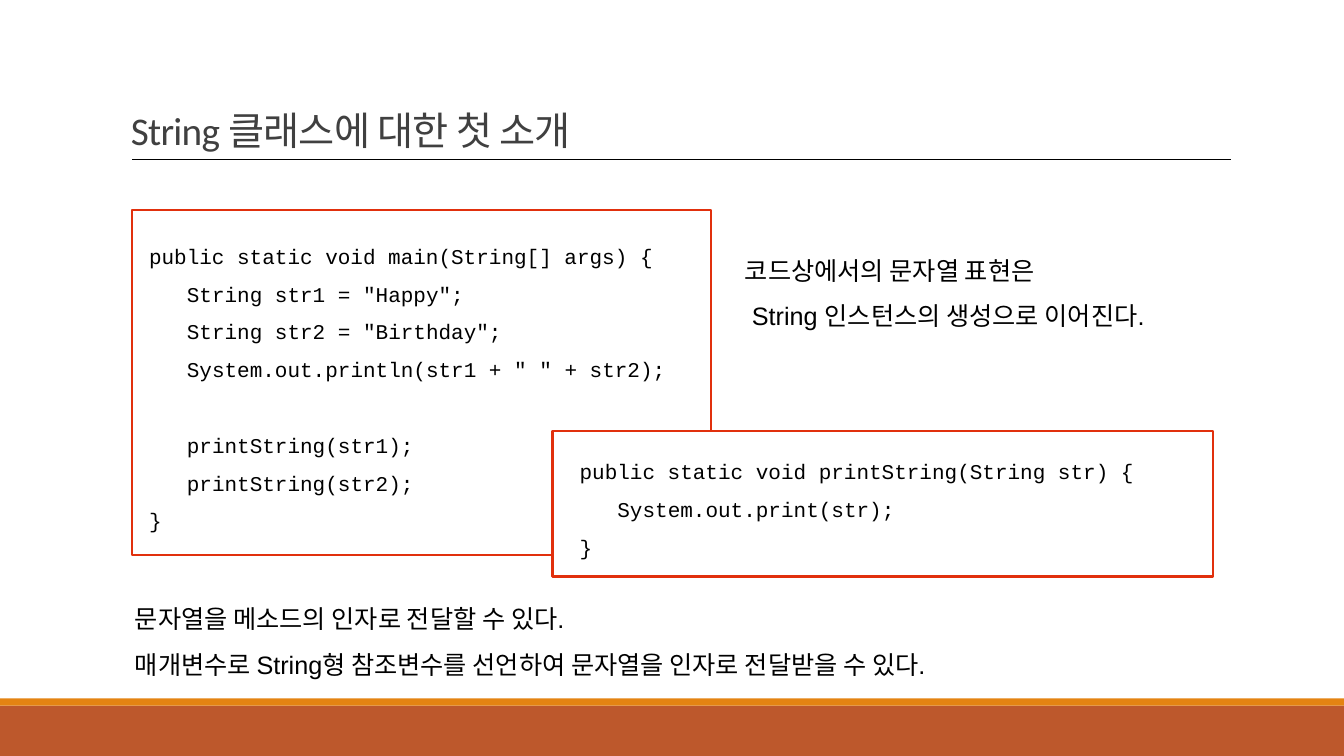
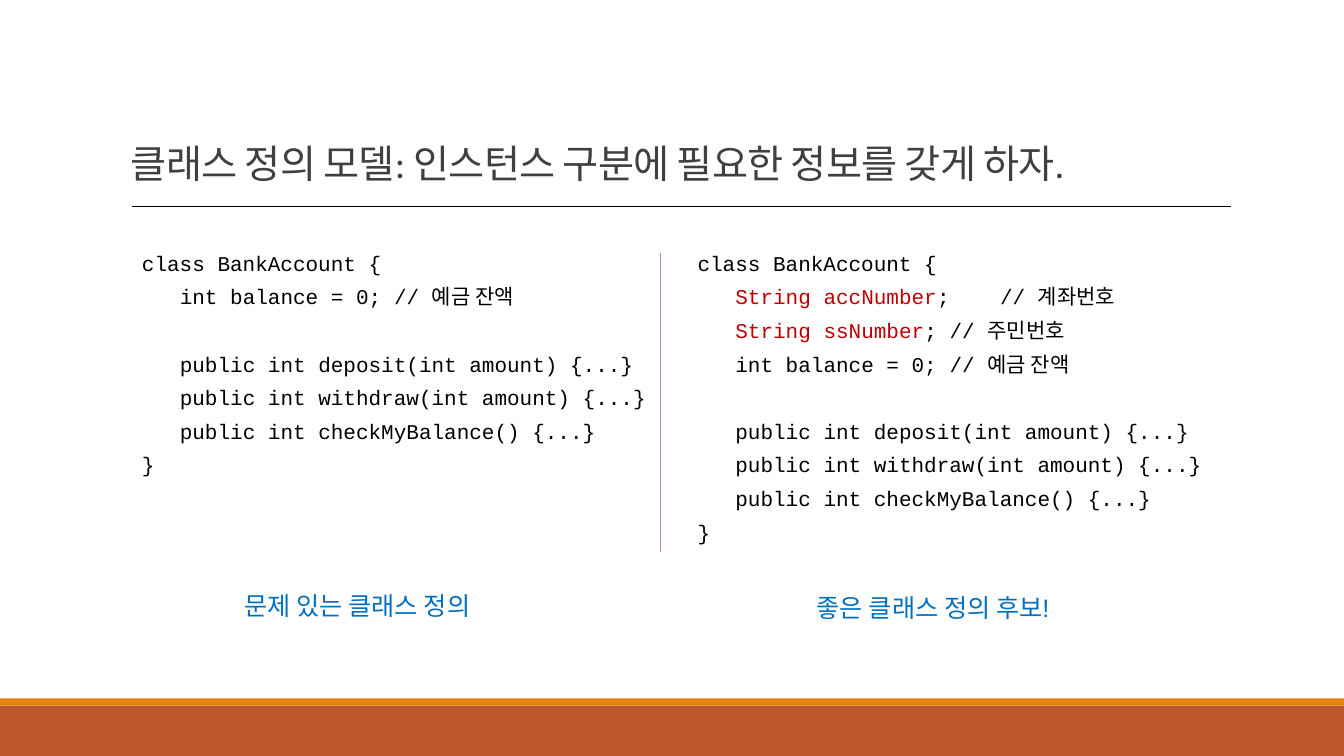
from lxml import etree
from pptx import Presentation, util as u
from pptx.dml.color import RGBColor
from pptx.enum import shapes, text
from pptx.oxml.ns import qn

# Content: a code line is (indent level, pieces, comment column, comment); GAP is an empty row
GAP = None
MAIN_CODE = [
    (0, ["public static void main(String[] args) {"]),
    (1, ['String str1 = "Happy";']),
    (1, ['String str2 = "Birthday";']),
    (1, ['System.out.println(str1 + " " + str2);']),
    GAP,
    (1, ["printString(str1);"]),
    (1, ["printString(str2);"]),
    (0, ["}"]),
]
PRINT_CODE = [
    (0, ["public static void printString(String str) {"]),
    (1, ["System.out.print(str);"]),
    (0, ["}"]),
]
CLASS_HEAD = (0, ["class BankAccount {"])
BALANCE = (1, ["int balance = 0;"], 23, "예금 잔액")
METHODS = [
    GAP,
    (1, ["public int deposit(int amount) {...}"]),
    (1, ["public int withdraw(int amount) {...}"]),
    (1, ["public int checkMyBalance() {...}"]),
    (0, ["}"]),
]
KEYS = [
    (1, [("String accNumber", "C00000"), ";"], 24, "계좌번호"),
    (1, [("String ssNumber", "C00000"), ";"], 24, "주민번호"),
]
POOR_CLASS = [CLASS_HEAD, BALANCE] + METHODS
GOOD_CLASS = [CLASS_HEAD] + KEYS + [BALANCE] + METHODS

TITLE_STRING = "String 클래스에 대한 첫 소개"
TITLE_MODEL = "클래스 정의 모델: 인스턴스 구분에 필요한 정보를 갖게 하자."
CREATION_NOTE = ["코드상에서의 문자열 표현은", " String 인스턴스의 생성으로 이어진다."]
ARGUMENT_NOTE = ["문자열을 메소드의 인자로 전달할 수 있다.",
                 "매개변수로 String형 참조변수를 선언하여 문자열을 인자로 전달받을 수 있다."]
POOR_LABEL, GOOD_LABEL = "문제 있는 클래스 정의", "좋은 클래스 정의 후보!"

# Shared measures and colours
WIDTH, HEIGHT = 13.33, 7.5
LEFT, RIGHT = 1.31, 12.21
CHAR = 0.125            # width of one code character
BLACK, GREY, BLUE, FRAME = "000000", "404040", "0070C0", "E1300D"
BANDS = [(7, 0.5, "BD582C"), (6.93, 0.07, "E48312")]

deck = Presentation()
deck.slide_width, deck.slide_height = u.Inches(WIDTH), u.Inches(HEIGHT)


def rgb(value):
    return RGBColor.from_string(value)


def inches(*lengths):
    return [u.Inches(length) for length in lengths]


def add_box(slide, at, fill=None, line=None):
    box = slide.shapes.add_shape(shapes.MSO_SHAPE.RECTANGLE, *inches(*at))
    box.shadow.inherit = False
    if fill:
        box.fill.solid()
        box.fill.fore_color.rgb = rgb(fill)
    else:
        box.fill.background()
    if line:
        box.line.color.rgb = rgb(line)
        box.line.width = u.Pt(1.5)
    else:
        box.line.fill.background()


def add_rule(slide, start, end, color):
    rule = slide.shapes.add_connector(shapes.MSO_CONNECTOR.STRAIGHT, *inches(*start, *end))
    rule.line.color.rgb = rgb(color)
    rule.line.width = u.Pt(1)
    etree.SubElement(rule._element.spPr, qn("a:effectLst"))


def add_frame(slide, at, grow=True):
    frame = slide.shapes.add_textbox(*inches(*at)).text_frame
    frame.word_wrap = True
    if grow:
        frame.auto_size = text.MSO_AUTO_SIZE.SHAPE_TO_FIT_TEXT
    return frame


def next_paragraph(frame, index, spacing):
    paragraph = frame.add_paragraph() if index else frame.paragraphs[0]
    paragraph.line_spacing = spacing
    return paragraph


def add_run(paragraph, words, size, font, color):
    run = paragraph.add_run()
    run.text = words
    run.font.size, run.font.name = u.Pt(size), font
    run.font.color.rgb = rgb(color)
    return run


def add_note(slide, at, lines, color=BLACK, align=None):
    frame = add_frame(slide, at)
    for index, words in enumerate(lines):
        paragraph = next_paragraph(frame, index, 1.5)
        paragraph.alignment = align
        add_run(paragraph, words, 18, "Arial", color)


def add_code(slide, at, lines, spacing, row):
    """Level becomes a first-line indent, GAP one row of space, comments sit on a tab stop."""
    frame = add_frame(slide, at)
    gap = False
    for index, line in enumerate(lines):
        if line is GAP:
            gap = True
            continue
        level, pieces, *comment = line
        paragraph = next_paragraph(frame, index, spacing)
        if gap:
            paragraph.space_before = u.Pt(row)
            gap = False
        props = paragraph._p.get_or_add_pPr()
        props.set("marL", "0")
        props.set("indent", str(u.Inches(3 * CHAR * level)))
        for piece in pieces:
            words, color = (piece, BLACK) if isinstance(piece, str) else piece
            add_run(paragraph, words, 15, "Courier New", color)
        if comment:
            column, remark = comment
            stops = etree.SubElement(props, qn("a:tabLst"))
            etree.SubElement(stops, qn("a:tab"), pos=str(u.Inches(column * CHAR)), algn="l")
            add_run(paragraph, "\t// ", 15, "Courier New", BLACK)
            add_run(paragraph, remark, 15, "Calibri", BLACK)


def new_slide(title, title_height, rule_y):
    slide = deck.slides.add_slide(deck.slide_layouts[6])
    for top, height, color in BANDS:
        add_box(slide, (0, top, WIDTH, height), color)
    frame = add_frame(slide, (1.2, 0.31, 11, title_height), grow=False)
    frame.vertical_anchor = text.MSO_ANCHOR.BOTTOM
    run = add_run(next_paragraph(frame, 0, 0.85), title, 28, "Calibri", GREY)
    run.font._element.set("spc", "-50")
    add_rule(slide, (LEFT, rule_y), (RIGHT, rule_y), BLACK)
    return slide


# Slide 1: strings as instances and as arguments
strings = new_slide(TITLE_STRING, 1.26, 1.58)
add_code(strings, (1.38, 2.24, 5.74, 3.09), MAIN_CODE, 1.5, 27)
add_box(strings, (LEFT, 2.08, 5.74, 3.43), line=FRAME)
add_box(strings, (5.48, 4.28, 6.55, 1.44), "FFFFFF", FRAME)
add_code(strings, (5.65, 4.38, 5.79, 1.24), PRINT_CODE, 1.5, 27)
add_note(strings, (1.24, 5.79, 8.87, 0.96), ARGUMENT_NOTE)
add_note(strings, (7.29, 2.33, 4.74, 1.01), CREATION_NOTE)

# Slide 2: two class definitions side by side
model = new_slide(TITLE_MODEL, 1.59, 2.05)
add_rule(model, (6.55, 2.51), (6.55, 5.48), "C29580")
for code, code_at, label, label_at in [
    (POOR_CLASS, (LEFT, 2.35, 5.71, 2.44), POOR_LABEL, (LEFT, 5.66, 4.47, 0.56)),
    (GOOD_CLASS, (6.82, 2.35, 5.71, 3.13), GOOD_LABEL, (7.02, 5.68, 4.47, 0.51)),
]:
    add_code(model, code_at, code, u.Pt(24), 24)
    add_note(model, label_at, [label], BLUE, text.PP_ALIGN.CENTER)

deck.save("out.pptx")
